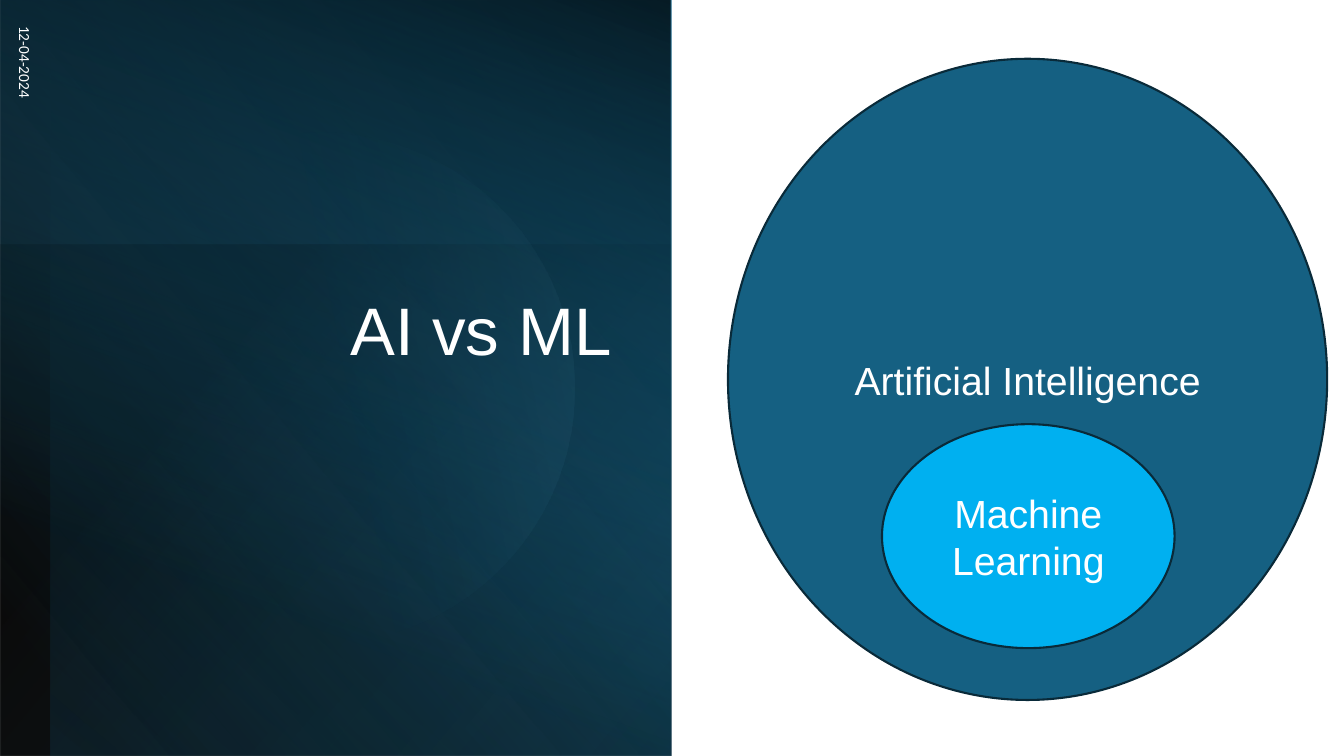
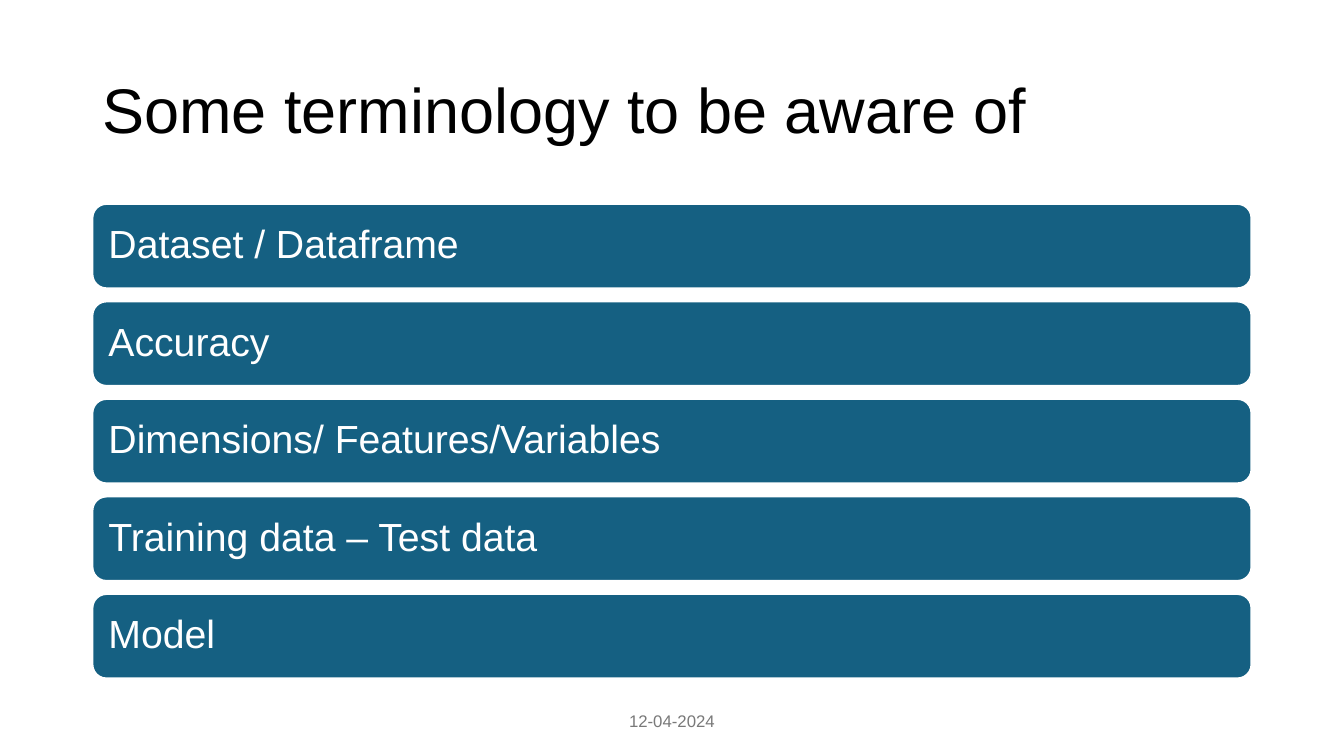
from lxml.etree import SubElement
from pptx import Presentation
from pptx.dml.color import RGBColor
from pptx.enum.shapes import MSO_SHAPE
from pptx.enum.text import MSO_ANCHOR, PP_ALIGN
from pptx.oxml.ns import qn
from pptx.util import Pt

DATE = "12-04-2024"
BLUE, BLACK, WHITE, EDGE = "156082", "000000", "FFFFFF", "092A39"
RECT, OVAL, ROUND = MSO_SHAPE.RECTANGLE, MSO_SHAPE.OVAL, MSO_SHAPE.ROUNDED_RECTANGLE
LEFT, MID, RIGHT = PP_ALIGN.LEFT, PP_ALIGN.CENTER, PP_ALIGN.RIGHT

# kind, box, rotation, flipped, angle, stops as (position, colour, opacity)
PANEL = [
    (RECT, (0, 0, 480, 540), 180, True, 40, [(8, BLACK, 94), (100, BLUE, 100)]),
    (RECT, (-12, 48, 540, 444), 270, True, 140,
     [(0, BLUE, 23), (71, "0B3041", 0), (100, BLACK, 0)]),
    (RECT, (-1, 175, 480, 365), 180, True, 140, [(0, BLUE, 0), (72, BLACK, 21)]),
    (OVAL, (45, 95, 365, 365), 69, False, 280, [(53, BLUE, 0), (100, "83CBEB", 15)]),
    (RECT, (-1, 0, 480, 540), 180, True, 70, [(24, BLUE, 0), (100, BLACK, 71)]),
]
RINGS = [
    ("Artificial Intelligence", (520, 42, 428, 458), BLUE),
    ("Machine Learning", (630, 303, 209, 160), "00B0F0"),
]
TERMS = [
    "Dataset / Dataframe",
    "Accuracy",
    "Dimensions/ Features/Variables",
    "Training data – Test data",
    "Model",
]
BAR = {"left": 66, "top": 145.6, "width": 828, "height": 60.4, "step": 69.66}


def color(code):
    return RGBColor.from_string(code)


def write(shape, text, size, tint=WHITE, align=MID, font="Arial",
          anchor=MSO_ANCHOR.MIDDLE, space=1.0, inset=7.2):
    frame = shape.text_frame
    look = {"word_wrap": True, "vertical_anchor": anchor,
            "margin_left": Pt(inset), "margin_right": Pt(inset)}
    for name, value in look.items():
        setattr(frame, name, value)
    line = frame.paragraphs[0]
    line.alignment, line.line_spacing = align, space
    run = line.add_run()
    run.text = text
    for name, value in {"size": Pt(size), "name": font}.items():
        setattr(run.font, name, value)
    run.font.color.rgb = color(tint)


def label(slide, box, text, size, turn=0, **style):
    shape = slide.shapes.add_textbox(*map(Pt, box))
    shape.rotation = turn
    write(shape, text, size, **style)


def title(slide, box, text, size, **style):
    label(slide, box, text, size, space=0.9, **style)


def draw(slide, kind, box):
    shape = slide.shapes.add_shape(kind, *map(Pt, box))
    shape.shadow.inherit = False
    return shape


def solid(slide, kind, box, fill, edge):
    shape = draw(slide, kind, box)
    shape.fill.solid()
    shape.fill.fore_color.rgb = color(fill)
    shape.line.color.rgb = color(edge)
    shape.line.width = Pt(1.5)
    return shape


def blend(shape, angle, stops):
    """Fill with a linear gradient whose stops have their own opacity."""
    shape.fill.gradient()
    grad = shape.element.spPr.find(qn("a:gradFill"))
    for child in list(grad):
        grad.remove(child)
    items = SubElement(grad, qn("a:gsLst"))
    for place, tint, alpha in stops:
        stop = SubElement(items, qn("a:gs"), pos=str(place * 1000))
        shade = SubElement(stop, qn("a:srgbClr"), val=tint)
        SubElement(shade, qn("a:alpha"), val=str(alpha * 1000))
    SubElement(grad, qn("a:lin"), ang=str(angle * 60000), scaled="0")


def compare(slide):
    for kind, box, turn, flip, angle, stops in PANEL:
        shape = draw(slide, kind, box)
        shape.line.fill.background()
        shape.rotation = turn
        if flip:
            shape.element.spPr.find(qn("a:xfrm")).set("flipH", "1")
        blend(shape, angle, stops)
    title(slide, (84, 209, 360, 253), "AI vs ML", 48,
          align=RIGHT, anchor=MSO_ANCHOR.TOP)
    label(slide, (-144, 159, 324, 29), DATE, 11, turn=90, align=LEFT, font="Calibri")
    for text, box, fill in RINGS:
        write(solid(slide, OVAL, box, fill, EDGE), text, 28)


def terms(slide):
    title(slide, (66, 29, 828, 104), "Some terminology to be aware of", 45,
          tint=BLACK, align=LEFT)
    for row, text in enumerate(TERMS):
        box = (BAR["left"], BAR["top"] + row * BAR["step"], BAR["width"], BAR["height"])
        write(solid(slide, ROUND, box, BLUE, WHITE), text, 28,
              align=LEFT, space=0.9, inset=8.6)
    label(slide, (318, 500.5, 324, 29), DATE, 12, tint="797979")


def main():
    deck = Presentation()
    deck.slide_width, deck.slide_height = Pt(960), Pt(540)
    for build in (compare, terms):
        build(deck.slides.add_slide(deck.slide_layouts[6]))
    deck.save("out.pptx")


if __name__ == "__main__":
    main()
